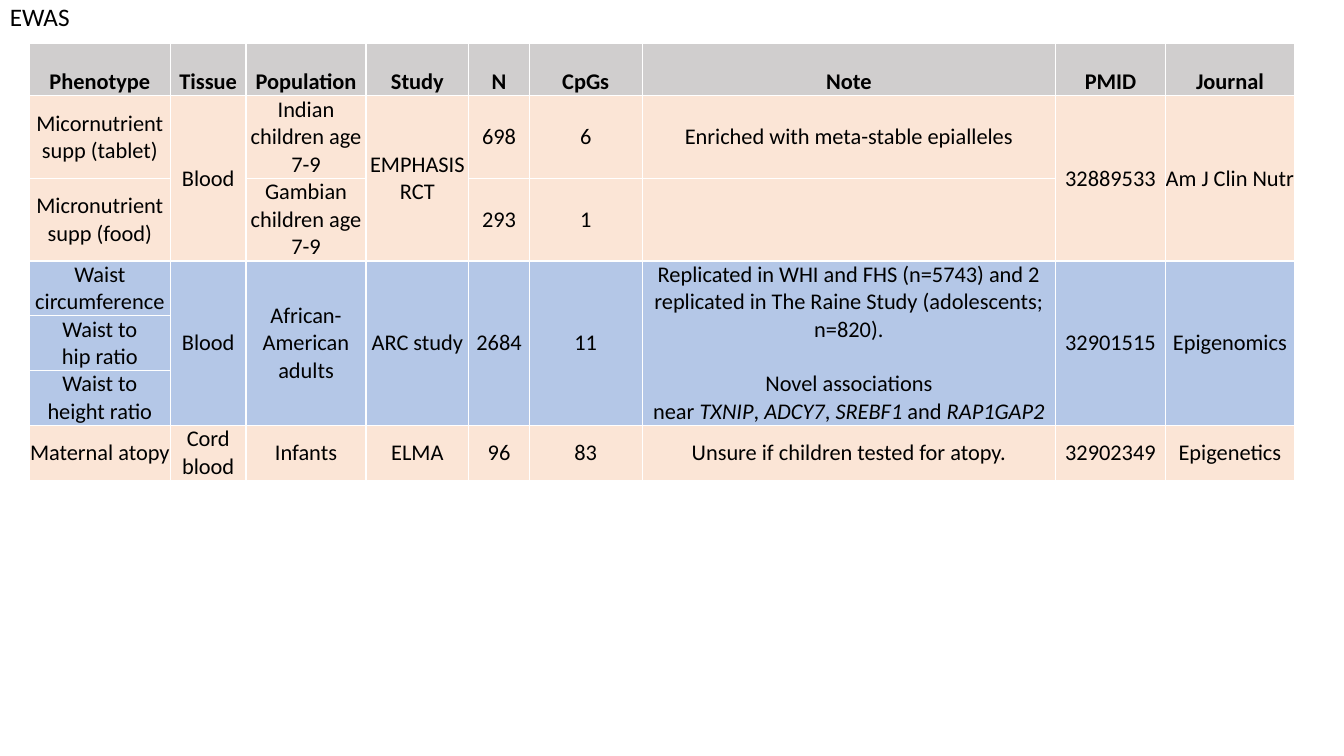
from lxml.etree import SubElement
from pptx import Presentation
from pptx.dml.color import RGBColor as RGB
from pptx.enum.text import MSO_ANCHOR as ANCHOR, PP_ALIGN as ALIGN
from pptx.oxml.ns import qn
from pptx.util import Inches, Pt

COLORS = {"header": "D0CECE", "peach": "FBE5D6", "blue": "B4C7E7",
          "border": "FFFFFF", "text": "000000"}
COL_WIDTHS = [1.4, 0.75, 1.19, 1.02, 0.6, 1.12, 4.1, 1.09, 1.28]
ROW_HEIGHTS = [0.52, 0.82, 0.82, 0.54, 0.54, 0.54, 0.54]
ROW_COLORS = ["header"] + ["peach"] * 2 + ["blue"] * 3 + ["peach"]
WAIST_NOTE = ("Replicated in WHI and FHS (n=5743) and 2 replicated in "
              "The Raine Study (adolescents; n=820).\n"
              "Novel associations near\u00a0*TXNIP*,\u00a0*ADCY7*,\u00a0*SREBF1*"
              "\u00a0and\u00a0*RAP1GAP2*")
ROWS = [
    ["Phenotype", "Tissue", "Population", "Study", "N", "CpGs", "Note", "PMID", "Journal"],
    ["Micornutrient supp (tablet)", "Blood", "Indian children age 7-9", "EMPHASIS RCT",
     "698", "6", "Enriched with meta-stable epialleles", "32889533", "Am J Clin Nutr"],
    ["Micronutrient supp (food)", None, "Gambian children age 7-9", None,
     "293", "1", "", None, None],
    ["Waist circumference", "Blood", "African-American adults", "ARC study",
     "2684", "11", WAIST_NOTE, "32901515", "Epigenomics"],
    ["Waist to hip\u00a0ratio"] + [None] * 8,
    ["Waist to height\u00a0ratio"] + [None] * 8,
    ["Maternal atopy", "Cord blood", "Infants", "ELMA",
     "96", "83", "Unsure if children tested for atopy.", "32902349", "Epigenetics"],
]


def write(tf, text, size=16, bold=False, align=ALIGN.LEFT, gap=0):
    for i, line in enumerate(text.split("\n")):
        p = tf.add_paragraph() if i else tf.paragraphs[0]
        p.alignment = align
        p.font.size = Pt(size)
        if i:
            p.space_before = Pt(gap)
        for j, part in enumerate(line.split("*")):
            if part:
                r = p.add_run()
                r.text = part
                r.font.name = "Calibri"
                r.font.size = Pt(size)
                r.font.bold = bold
                r.font.italic = j % 2 == 1
                r.font.color.rgb = RGB.from_string(COLORS["text"])


def style_cell(cell, color, anchor):
    cell.margin_left = cell.margin_right = cell.margin_top = cell.margin_bottom = 0
    cell.vertical_anchor = anchor
    tcPr = cell._tc.get_or_add_tcPr()
    for side in ("lnL", "lnR", "lnT", "lnB"):
        ln = SubElement(tcPr, qn(f"a:{side}"), w=str(Pt(1)))
        fill = SubElement(ln, qn("a:solidFill"))
        SubElement(fill, qn("a:srgbClr"), val=COLORS["border"])
    cell.fill.solid()
    cell.fill.fore_color.rgb = RGB.from_string(COLORS[color])


def add_title(s, left, top, width, height):
    tf = s.shapes.add_textbox(Inches(left), Inches(top),
                              Inches(width), Inches(height)).text_frame
    tf.word_wrap = False
    write(tf, "EWAS", size=18)


def add_study_table(s, left, top):
    table = s.shapes.add_table(len(ROWS), len(COL_WIDTHS), Inches(left), Inches(top),
                               Inches(sum(COL_WIDTHS)), Inches(sum(ROW_HEIGHTS))).table
    table.first_row = table.horz_banding = False
    for col, width in zip(table.columns, COL_WIDTHS):
        col.width = Inches(width)
    for r, (texts, height) in enumerate(zip(ROWS, ROW_HEIGHTS)):
        table.rows[r].height = Inches(height)
        for c, text in enumerate(texts):
            cell = table.cell(r, c)
            style_cell(cell, ROW_COLORS[r], ANCHOR.MIDDLE if r else ANCHOR.BOTTOM)
            if text is None:
                continue
            write(cell.text_frame, text, bold=r == 0, align=ALIGN.CENTER, gap=19.5)
            last = r
            while last + 1 < len(ROWS) and ROWS[last + 1][c] is None:
                last += 1
            if last > r:
                cell.merge(table.cell(last, c))


prs = Presentation()
prs.slide_width, prs.slide_height = Inches(13.33), Inches(7.5)
s = prs.slides.add_slide(prs.slide_layouts[6])
add_study_table(s, 0.29, 0.43)
add_title(s, 0, -0.04, 0.8, 0.4)
prs.save("out.pptx")
